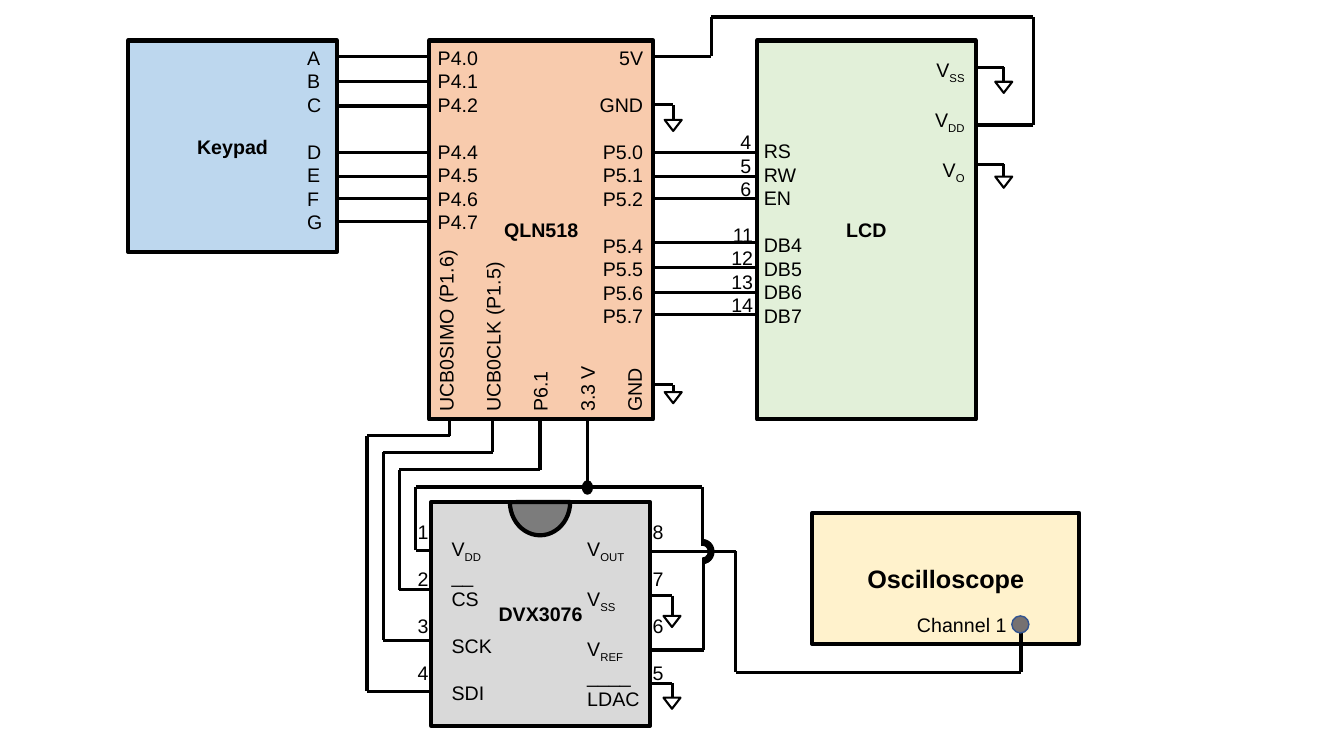
from itertools import pairwise
from lxml import etree
from pptx import Presentation
from pptx import util as u
from pptx.dml.color import RGBColor
from pptx.enum import shapes, text
from pptx.oxml import ns

COLORS = {
    "ink": "000000", "keypad": "BDD7EE", "controller": "F8CBAD", "display": "E2F0D9",
    "converter": "D9D9D9", "scope": "FFF2CC", "notch": "7C7C7C", "ground": "FFFFFF",
    "terminal": "767171", "terminal_edge": "325491",
}
SHAPE = shapes.MSO_SHAPE
LEFT, RIGHT = text.PP_ALIGN.LEFT, text.PP_ALIGN.RIGHT
LINE_POINTS = 16.8
LINE_CM = LINE_POINTS / 72 * 2.54


def add_figure(kind, bounds, fill, edge="ink", weight=3, turn=0):
    figure = page.shapes.add_shape(kind, *map(u.Cm, bounds))
    figure.shadow.inherit = False
    figure.fill.solid()
    figure.fill.fore_color.rgb = RGBColor.from_string(COLORS[fill])
    figure.line.color.rgb = RGBColor.from_string(COLORS[edge])
    figure.line.width = u.Pt(weight)
    figure.rotation = turn
    return figure


def add_span(para, words, size=14, bold=False):
    span = para.add_run()
    span.text = words
    for name, value in {"name": "Arial", "size": u.Pt(size), "bold": bold}.items():
        setattr(span.font, name, value)
    span.font.color.rgb = RGBColor.from_string(COLORS["ink"])
    return span


deck = Presentation()
deck.slide_width, deck.slide_height = u.Cm(33.87), u.Cm(19.05)
page = deck.slides.add_slide(deck.slide_layouts[6])

blocks = [
    ("Keypad", (3.23, 1.02, 5.26, 5.33), "keypad", 14),
    ("QLN518", (10.82, 1.02, 5.64, 9.55), "controller", 14),
    ("LCD", (19.08, 1.02, 5.51, 9.55), "display", 14),
    ("DVX3076", (10.87, 12.65, 5.51, 5.64), "converter", 14),
    ("Oscilloscope", (20.47, 12.93, 6.73, 3.3), "scope", 18),
]
for title, bounds, fill, size in blocks:
    frame = add_figure(SHAPE.RECTANGLE, bounds, fill).text_frame
    frame.vertical_anchor = text.MSO_ANCHOR.MIDDLE
    frame.paragraphs[0].alignment = text.PP_ALIGN.CENTER
    add_span(frame.paragraphs[0], title, size, True)

notch = add_figure(SHAPE.PIE, (12.85, 11.81, 1.52, 1.68), "notch")
notch.adjustments[0] = 0
notch.adjustments[1] = 107.84

wires = [
    [(16.46, 1.42), (17.93, 1.42), (17.93, 0.43), (26.04, 0.43), (26.04, 3.15), (24.56, 3.15)],
    [(16.38, 13.89), (18.54, 13.89), (18.54, 16.94), (25.73, 16.94), (25.73, 15.95)],
    [(11.33, 10.57), (11.33, 10.98), (9.25, 10.98), (9.25, 17.42), (10.87, 17.42)],
    [(12.42, 10.57), (12.42, 11.4), (9.66, 11.4), (9.66, 16.13), (10.87, 16.13)],
    [(13.61, 10.57), (13.61, 11.84), (10.06, 11.84), (10.06, 14.86), (10.87, 14.86)],
    [(14.81, 10.57), (14.81, 12.27)],
    [(10.87, 13.87), (10.48, 13.87), (10.48, 12.27), (17.7, 12.27), (17.7, 13.77)],
    [(17.74, 14.22), (17.74, 16.38), (16.41, 16.38)],
]
wires += [[(8.48, y), (10.82, y)] for y in (1.42, 2.06, 2.67, 3.84, 4.45, 5, 5.59)]
wires += [[(16.51, y), (19.08, y)] for y in (3.84, 4.45, 5, 6.12, 6.73, 7.37, 7.92)]

grounds = [
    (24.59, 1.7, 25.3, 2.06), (24.59, 4.14, 25.3, 4.45), (16.46, 2.64, 16.97, 3.02),
    (16.46, 9.7, 16.97, 9.88), (16.38, 15.01, 16.94, 15.52), (16.38, 17.22, 16.94, 17.58),
]
for pin, level, drop, tip in grounds:
    wires.append([(pin, level), (drop, level), (drop, tip)])
    add_figure(SHAPE.ISOSCELES_TRIANGLE, (drop - 0.22, tip, 0.43, 0.28), "ground", weight=1.5, turn=180)

for route in wires:
    for start, end in pairwise(route):
        wire = page.shapes.add_connector(shapes.MSO_CONNECTOR.STRAIGHT, *map(u.Cm, start + end))
        wire.line.color.rgb = RGBColor.from_string(COLORS["ink"])
        wire.line.width = u.Pt(2.25)
        etree.SubElement(wire._element.spPr, ns.qn("a:effectLst"))

add_figure(SHAPE.BLOCK_ARC, (17.4, 13.61, 0.61, 0.58), "ink", weight=0, turn=90)
add_figure(SHAPE.OVAL, (14.68, 12.12, 0.25, 0.33), "ink", weight=1)
add_figure(SHAPE.OVAL, (25.5, 15.52, 0.43, 0.43), "terminal", "terminal_edge", 1)

columns = [
    (7.49, 1.02, 1.02, LEFT, 0, "A B C D E F G".split(), {3: 1}),
    (9.96, 1.02, 2.34, RIGHT, 0, "P4.0 P4.1 P4.2 P4.4 P4.5 P4.6 P4.7".split(), {3: 1}),
    (14.12, 1.02, 2.34, RIGHT, 0, "5V GND P5.0 P5.1 P5.2 P5.4 P5.5 P5.6 P5.7".split(), {1: 1, 2: 1, 5: 1}),
    (19, 3.38, 1.83, LEFT, 0, "RS RW EN DB4 DB5 DB6 DB7".split(), {3: 1}),
    (23.06, 1.42, 1.5, RIGHT, 0, ["V|SS", "V|DD", "V|O"], {1: 1.13, 2: 1.13}),
    (17.88, 3.15, 1.3, RIGHT, 0, "4 5 6".split(), {}),
    (17.93, 5.49, 1.3, RIGHT, 0, "11 12 13 14".split(), {}),
    (11.13, 13.48, 1.7, LEFT, 0, ["V|DD", "__", "CS", "SCK", "SDI"], {3: 1, 4: 1}),
    (14.55, 13.48, 1.88, LEFT, 0, ["V|OUT", "V|SS", "V|REF", "____", "LDAC"], {1: 1.13, 2: 1.13}),
    (9.75, 12.98, 1.3, RIGHT, 0, "1 2 3 4".split(), {1: 1, 2: 1, 3: 1}),
    (15.67, 12.98, 1.3, RIGHT, 0, "8 7 6 5".split(), {1: 1, 2: 1, 3: 1}),
    (10.52, 4.75, 6.17, LEFT, 270, ["UCB0SIMO (P1.6)", "UCB0CLK (P1.5)", "P6.1", "3.3 V", "GND"],
     {1: 1, 2: 1, 3: 1, 4: 1}),
    (22.86, 15.32, 3.43, LEFT, 0, ["Channel 1"], {}),
]
for left, top, width, align, turn, labels, gaps in columns:
    height = 0.25 + (len(labels) + sum(gaps.values())) * LINE_CM
    box = page.shapes.add_textbox(*map(u.Cm, (left, top, width, height)))
    box.rotation = turn
    box.text_frame.word_wrap = True
    for row, label in enumerate(labels):
        para = box.text_frame.add_paragraph() if row else box.text_frame.paragraphs[0]
        layout = {
            "alignment": align,
            "line_spacing": u.Pt(LINE_POINTS),
            "space_before": u.Pt(LINE_POINTS * gaps.get(row, 0)),
        }
        for name, value in layout.items():
            setattr(para, name, value)
        base, _, subscript = label.partition("|")
        add_span(para, base)
        if subscript:
            add_span(para, subscript)._r.get_or_add_rPr().set("baseline", "-25000")

deck.save("out.pptx")
